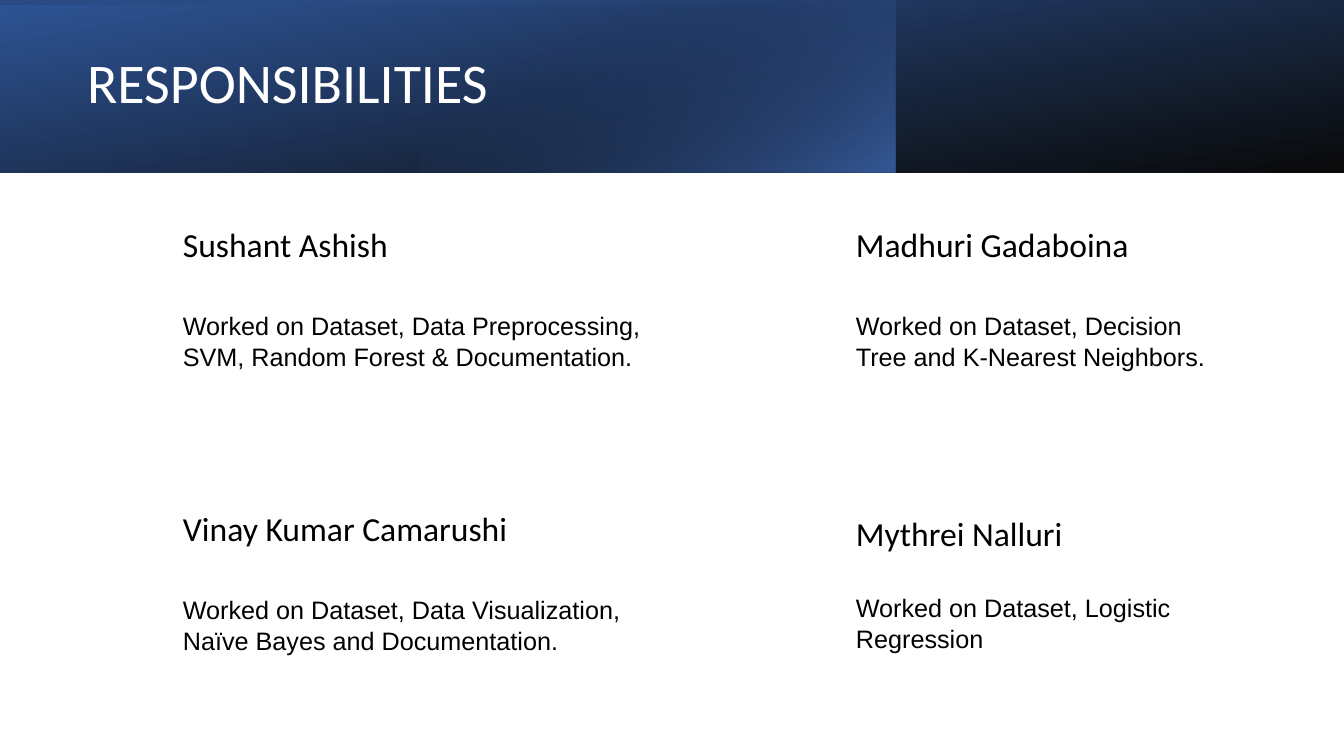
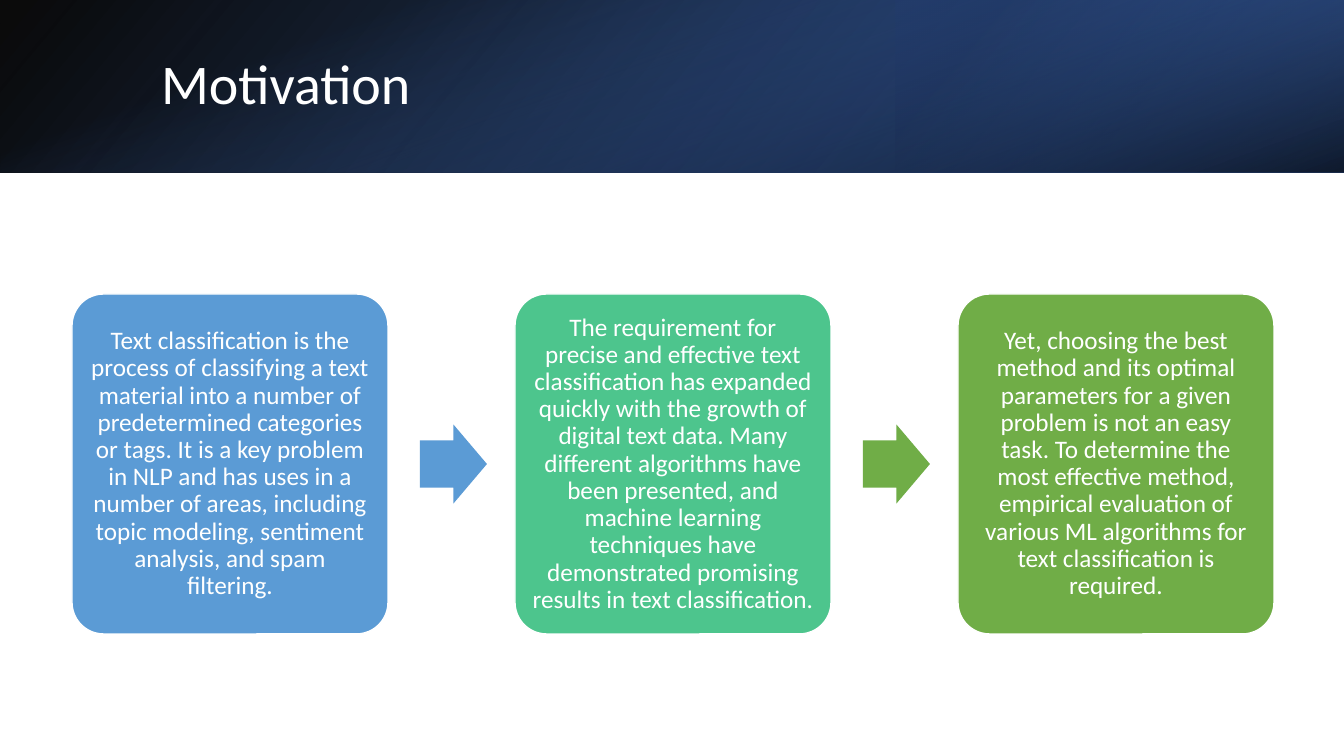
from dataclasses import dataclass

import pptx
import pptx.util
import pptx.dml.color
import pptx.enum.shapes
import pptx.enum.text
import pptx.oxml.ns
from lxml import etree

SHAPE = pptx.enum.shapes.MSO_SHAPE
ALIGN = pptx.enum.text.PP_ALIGN
MIDDLE = pptx.enum.text.MSO_ANCHOR.MIDDLE
Pt = pptx.util.Pt
RGB = pptx.dml.color.RGBColor.from_string
qn = pptx.oxml.ns.qn


@dataclass(frozen=True)
class Theme:
    black: str = "000000"
    white: str = "FFFFFF"
    navy: str = "203864"
    deep_blue: str = "2F5597"
    blue: str = "4472C4"
    sky: str = "5B9BD5"
    mint: str = "4DC58D"
    green: str = "70AD47"
    heading_font: str = "Calibri"
    body_font: str = "Arial"
    title_size: int = 40
    name_size: int = 24
    body_size: int = 18


T = Theme()
SLIDE_W, SLIDE_H, BAND_H = 1344, 756, 173
EMU_PER_PX = 914400 / 100.8


def px(*lengths):
    return [pptx.util.Emu(round(n * EMU_PER_PX)) for n in lengths]


def style(p, font, size, color):
    for r in p.runs:
        r.font.name = font
        r.font.size = Pt(size)
        r.font.color.rgb = RGB(color)


prs = pptx.Presentation()
prs.slide_width, prs.slide_height = px(SLIDE_W, SLIDE_H)

# Header bands: box, rotation, mirrored, clockwise angle, stops (position, colour, opacity %)
full = (0, 0, SLIDE_W, BAND_H)
upright = ((SLIDE_W - BAND_H) / 2, (BAND_H - SLIDE_W) / 2, BAND_H, SLIDE_W)
headers = [
    ("RESPONSIBILITIES", (77, 31, 790, 108), [
        (full, 180, True, 100, [(0, T.black, 96), (1, T.deep_blue, 100)]),
        (upright, 270, False, 190, [(0.19, T.blue, 0), (0.99, T.black, 74)]),
        ((421, 0, 475, BAND_H), 0, False, 240, [(0, T.blue, 72), (0.74, T.navy, 0)]),
    ]),
    ("Motivation", (151, 38, 1107, 97), [
        (full, 0, True, 140, [(0, T.black, 96), (1, T.deep_blue, 100)]),
        ((896, 0, 448, BAND_H), 180, True, 320, [(0.19, T.navy, 68), (1, T.blue, 79)]),
        (upright, 90, False, 340, [(0.23, T.blue, 0), (0.99, T.black, 74)]),
    ]),
]

for title, title_box, bands in headers:
    s = prs.slides.add_slide(prs.slide_layouts[5])
    for box, rotation, mirrored, angle, stops in bands:
        sp = s.shapes.add_shape(SHAPE.RECTANGLE, *px(*box))
        sp.shadow.inherit = False
        sp.line.fill.background()
        sp.rotation = rotation
        if mirrored:
            sp._element.spPr.xfrm.set("flipH", "1")
        sp.fill.gradient()
        sp.fill.gradient_angle = 360 - angle
        for stop, (position, color, _) in zip(sp.fill.gradient_stops, stops):
            stop.position = position
            stop.color.rgb = RGB(color)
        for clr, (_, _, opacity) in zip(sp._element.spPr.iter(qn("a:srgbClr")), stops):
            etree.SubElement(clr, qn("a:alpha")).set("val", str(opacity * 1000))

    sp = s.shapes.title
    s.shapes._spTree.append(sp._element)  # bring the title in front of the bands
    sp.left, sp.top, sp.width, sp.height = px(*title_box)
    tf = sp.text_frame
    tf.text = title
    tf.auto_size = pptx.enum.text.MSO_AUTO_SIZE.NONE
    tf.vertical_anchor = MIDDLE
    p = tf.paragraphs[0]
    p.alignment = ALIGN.LEFT
    p.line_spacing = 0.9
    style(p, T.heading_font, T.title_size, T.white)

responsibilities, motivation = prs.slides

# Team members: column (left, width), top, gap under the name in points, name, work
left_col, right_col = (173, 489), (846, 385)
members = [
    (left_col, 219, 32, "Sushant Ashish",
     "Worked on Dataset, Data Preprocessing, SVM, Random Forest & Documentation."),
    (left_col, 503, 32, "Vinay Kumar Camarushi",
     "Worked on Dataset, Data Visualization, Naïve Bayes and Documentation."),
    (right_col, 219, 32, "Madhuri Gadaboina",
     "Worked on Dataset, Decision Tree and K-Nearest Neighbors."),
    (right_col, 508, 27, "Mythrei Nalluri",
     "Worked on Dataset, Logistic Regression"),
]
for (left, width), top, gap, name, work in members:
    tf = responsibilities.shapes.add_textbox(*px(left, top, width, 159)).text_frame
    tf.word_wrap = True
    p = tf.paragraphs[0]
    p.text = name
    p.space_after = Pt(gap)
    style(p, T.heading_font, T.name_size, T.black)
    p = tf.add_paragraph()
    p.text = work
    p.line_spacing = 1.03
    style(p, T.body_font, T.body_size, T.black)

# Three cards in a row, with an arrow in each gap
CARD_X, CARD_Y, CARD_W, CARD_H, STEP = 72, 294, 316, 340, 443
ARROW_X, ARROW_W, ARROW_H = 420, 67, 79
cards = [
    (T.sky, T.sky,
     "Text classification is the process of classifying a text material into a number of "
     "predetermined categories or tags. It is a key problem in NLP and has uses in a number "
     "of areas, including topic modeling, sentiment analysis, and spam filtering."),
    (T.mint, T.green,
     "The requirement for precise and effective text classification has expanded quickly "
     "with the growth of digital text data. Many different algorithms have been presented, "
     "and machine learning techniques have demonstrated promising results in text "
     "classification."),
    (T.green, None,
     "Yet, choosing the best method and its optimal parameters for a given problem is not "
     "an easy task. To determine the most effective method, empirical evaluation of various "
     "ML algorithms for text classification is required."),
]
for i, (card_color, arrow_color, text) in enumerate(cards):
    sp = motivation.shapes.add_shape(
        SHAPE.ROUNDED_RECTANGLE, *px(CARD_X + i * STEP, CARD_Y, CARD_W, CARD_H))
    sp.shadow.inherit = False
    sp.adjustments[0] = 0.1
    sp.fill.solid()
    sp.fill.fore_color.rgb = RGB(card_color)
    sp.line.color.rgb = RGB(T.white)
    sp.line.width = Pt(1)
    tf = sp.text_frame
    tf.word_wrap = True
    tf.vertical_anchor = MIDDLE
    tf.margin_left, tf.margin_top, tf.margin_right, tf.margin_bottom = px(8, 6, 8, 6)
    p = tf.paragraphs[0]
    p.text = text
    p.alignment = ALIGN.CENTER
    p.line_spacing = 0.9
    style(p, T.heading_font, T.body_size, T.white)

    if arrow_color:
        arrow_y = CARD_Y + (CARD_H - ARROW_H) / 2
        sp = motivation.shapes.add_shape(
            SHAPE.RIGHT_ARROW, *px(ARROW_X + i * STEP, arrow_y, ARROW_W, ARROW_H))
        sp.shadow.inherit = False
        sp.adjustments[0], sp.adjustments[1] = 0.6, 0.5
        sp.fill.solid()
        sp.fill.fore_color.rgb = RGB(arrow_color)
        sp.line.fill.background()

prs.save("out.pptx")
